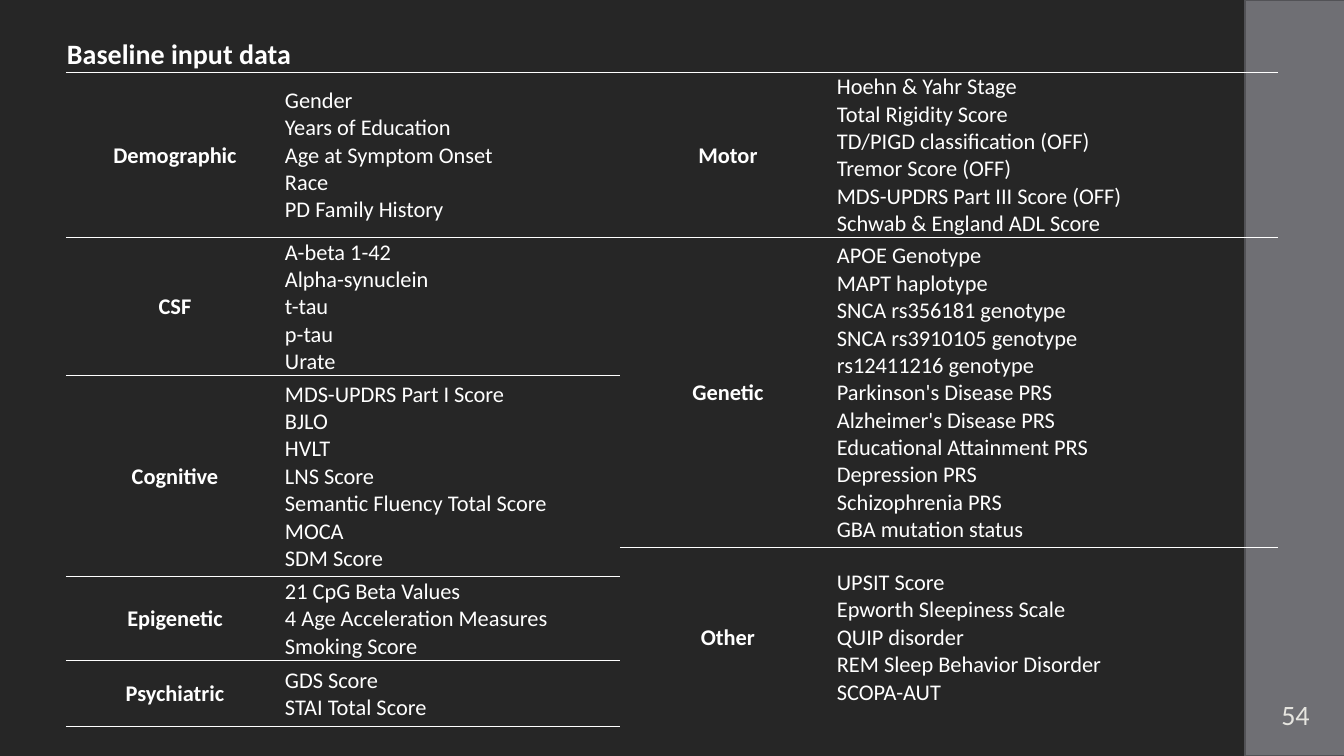
from dataclasses import dataclass

from lxml import etree
from pptx import Presentation
from pptx.dml.color import RGBColor
from pptx.enum.shapes import MSO_SHAPE
from pptx.enum.text import MSO_ANCHOR, PP_ALIGN
from pptx.oxml.ns import qn
from pptx.util import Pt

RECT = MSO_SHAPE.RECTANGLE
LEFT, MID = PP_ALIGN.LEFT, PP_ALIGN.CENTER
CENTER = MSO_ANCHOR.MIDDLE
PX = 914400 / 100.8
BLANK = 6
PLAIN = "{2D5ABB26-0587-4C30-8999-92F81FD0307C}"  # no style, no grid


@dataclass(frozen=True)
class Theme:
    font: str = "Calibri"
    back: str = "262626"
    text: str = "FFFFFF"
    bar: str = "6F6F74"
    edge: str = "525256"
    page: str = "E6E5E0"
    big: int = 20
    body: int = 16


COLS = [218, 336, 216, 442]
ROWS = [35, 165, 138, 172, 29, 84, 66]

# first row, first column, rows spanned, label, items
GROUPS = [
    (1, 0, 1, "Demographic", ["Gender", "Years of Education", "Age at Symptom Onset",
                              "Race", "PD Family History"]),
    (2, 0, 1, "CSF", ["A-beta 1-42", "Alpha-synuclein", "t-tau", "p-tau", "Urate"]),
    (3, 0, 2, "Cognitive", ["MDS-UPDRS Part I Score", "BJLO", "HVLT", "LNS Score",
                            "Semantic Fluency Total Score", "MOCA", "SDM Score"]),
    (5, 0, 1, "Epigenetic", ["21 CpG Beta Values", "4 Age Acceleration Measures",
                             "Smoking Score"]),
    (6, 0, 1, "Psychiatric", ["GDS Score", "STAI Total Score"]),
    (1, 2, 1, "Motor", ["Hoehn & Yahr Stage", "Total Rigidity Score",
                        "TD/PIGD classification (OFF)", "Tremor Score (OFF)",
                        "MDS-UPDRS Part III Score (OFF)", "Schwab & England ADL Score"]),
    (2, 2, 2, "Genetic", ["APOE Genotype", "MAPT haplotype", "SNCA rs356181 genotype",
                          "SNCA rs3910105 genotype", "rs12411216 genotype",
                          "Parkinson's Disease PRS", "Alzheimer's Disease PRS",
                          "Educational Attainment PRS", "Depression PRS",
                          "Schizophrenia PRS", "GBA mutation status"]),
    (4, 2, 3, "Other", ["UPSIT Score", "Epworth Sleepiness Scale", "QUIP disorder",
                        "REM Sleep Behavior Disorder", "SCOPA-AUT"]),
]


def px(n):
    return round(n * PX)


def rgb(code):
    return RGBColor.from_string(code)


def write(frame, lines, *, font, size, color, bold=False, align=LEFT):
    for i, line in enumerate(lines):
        para = frame.paragraphs[0] if i == 0 else frame.add_paragraph()
        para.alignment = align
        run = para.add_run()
        run.text = line
        run.font.name, run.font.size = font, Pt(size)
        run.font.bold, run.font.color.rgb = bold, rgb(color)


def rule(cell, sides, color):
    """Draw 1 pt borders on the given sides (letters of LRTB), none elsewhere."""
    props = cell._tc.get_or_add_tcPr()
    for side in "LRTB":
        line = etree.SubElement(props, qn("a:ln" + side), w=str(Pt(1)))
        if side in sides:
            fill = etree.SubElement(line, qn("a:solidFill"))
            etree.SubElement(fill, qn("a:srgbClr"), val=color)
        else:
            etree.SubElement(line, qn("a:noFill"))
    cell.fill.background()


class Deck:
    def __init__(self, theme):
        self.theme = theme
        self.file = Presentation()
        self.file.slide_width, self.file.slide_height = px(1344), px(756)
        self.slide = self.file.slides.add_slide(self.file.slide_layouts[BLANK])
        fill = self.slide.background.fill
        fill.solid()
        fill.fore_color.rgb = rgb(theme.back)

    def bar(self, *box):
        shape = self.slide.shapes.add_shape(RECT, *map(px, box))
        shape.shadow.inherit = False
        shape.fill.solid()
        shape.fill.fore_color.rgb = rgb(self.theme.bar)
        shape.line.color.rgb = rgb(self.theme.edge)
        shape.line.width = Pt(1.1)

    def page(self, text, *box):
        frame = self.slide.shapes.add_textbox(*map(px, box)).text_frame
        frame.word_wrap = True
        frame.vertical_anchor = CENTER
        frame.margin_left = frame.margin_right = px(5)
        frame.margin_top = frame.margin_bottom = px(5)
        write(frame, [text], font=self.theme.font, size=self.theme.big,
              color=self.theme.page, align=MID)

    def grid(self, x, y, cols, rows):
        item = self.slide.shapes.add_table(len(rows), len(cols), px(x), px(y),
                                           px(sum(cols)), px(sum(rows)))
        table = item.table
        table.first_row = table.horz_banding = False
        table._tbl.tblPr.find(qn("a:tableStyleId")).text = PLAIN
        for col, wide in zip(table.columns, cols):
            col.width = px(wide)
        for row, high in zip(table.rows, rows):
            row.height = px(high)
        return table

    def cell(self, table, row, col, lines, *, down=1, over=1, sides="TB", **form):
        head = table.cell(row, col)
        if down * over > 1:
            head.merge(table.cell(row + down - 1, col + over - 1))
        for r in range(row, row + down):
            for c in range(col, col + over):
                top = "T" if r == row and "T" in sides else ""
                end = "B" if r == row + down - 1 else ""
                rule(table.cell(r, c), top + end, self.theme.text)
        head.vertical_anchor = CENTER
        head.margin_left = head.margin_right = head.margin_top = px(1)
        head.margin_bottom = 0
        write(head.text_frame, lines, font=self.theme.font,
              color=self.theme.text, **form)


def main():
    theme = Theme()
    deck = Deck(theme)
    deck.bar(1245, 0, 101, 756)
    table = deck.grid(66, 37, COLS, ROWS)
    deck.cell(table, 0, 0, ["Baseline input data"], over=len(COLS), sides="B",
              size=theme.big, bold=True)
    for row, col, down, label, items in GROUPS:
        deck.cell(table, row, col, [label], down=down,
                  size=theme.body, bold=True, align=MID)
        deck.cell(table, row, col + 1, items, down=down, size=theme.body)
    deck.page("54", 1245, 681, 101, 66)
    deck.file.save("out.pptx")


if __name__ == "__main__":
    main()
